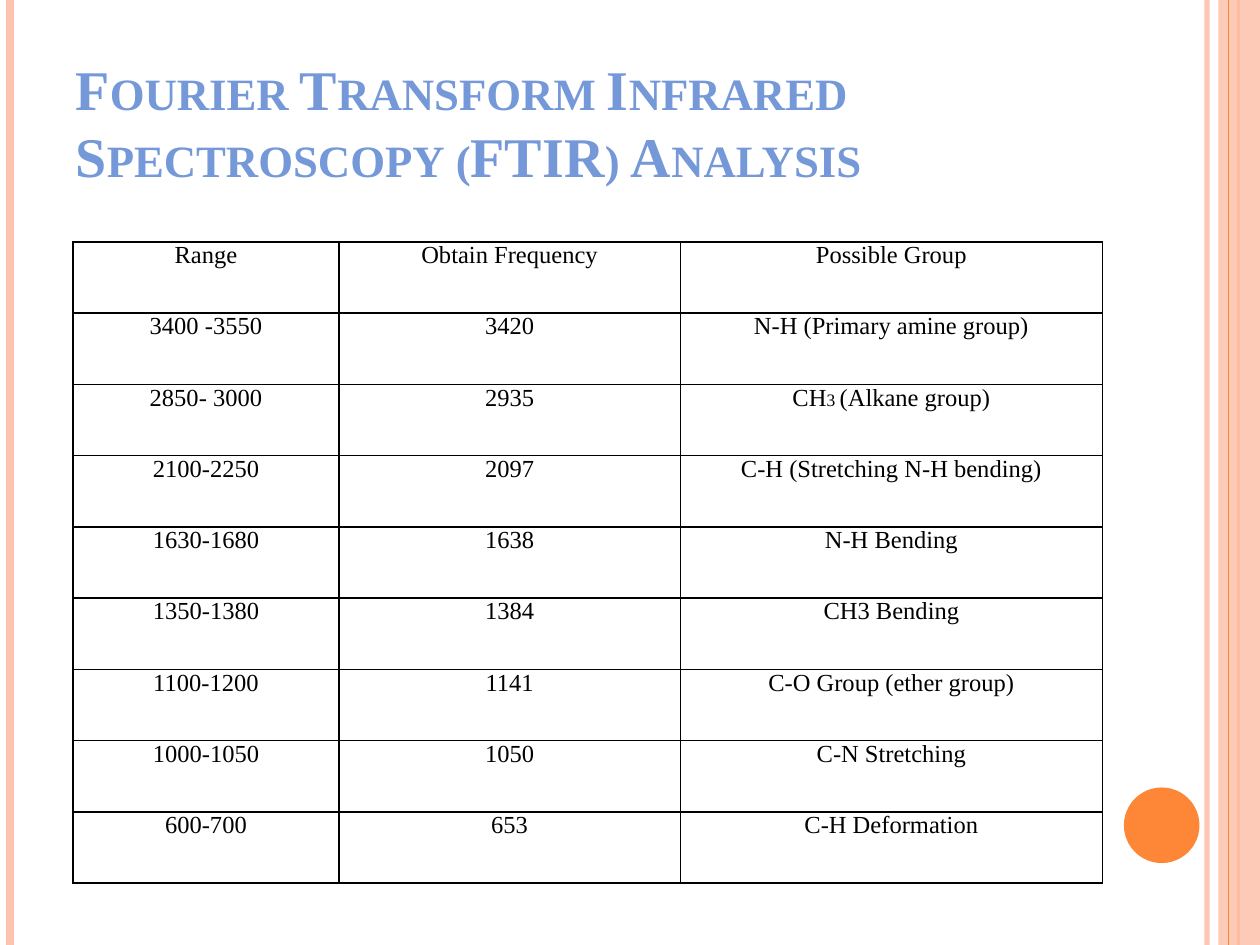
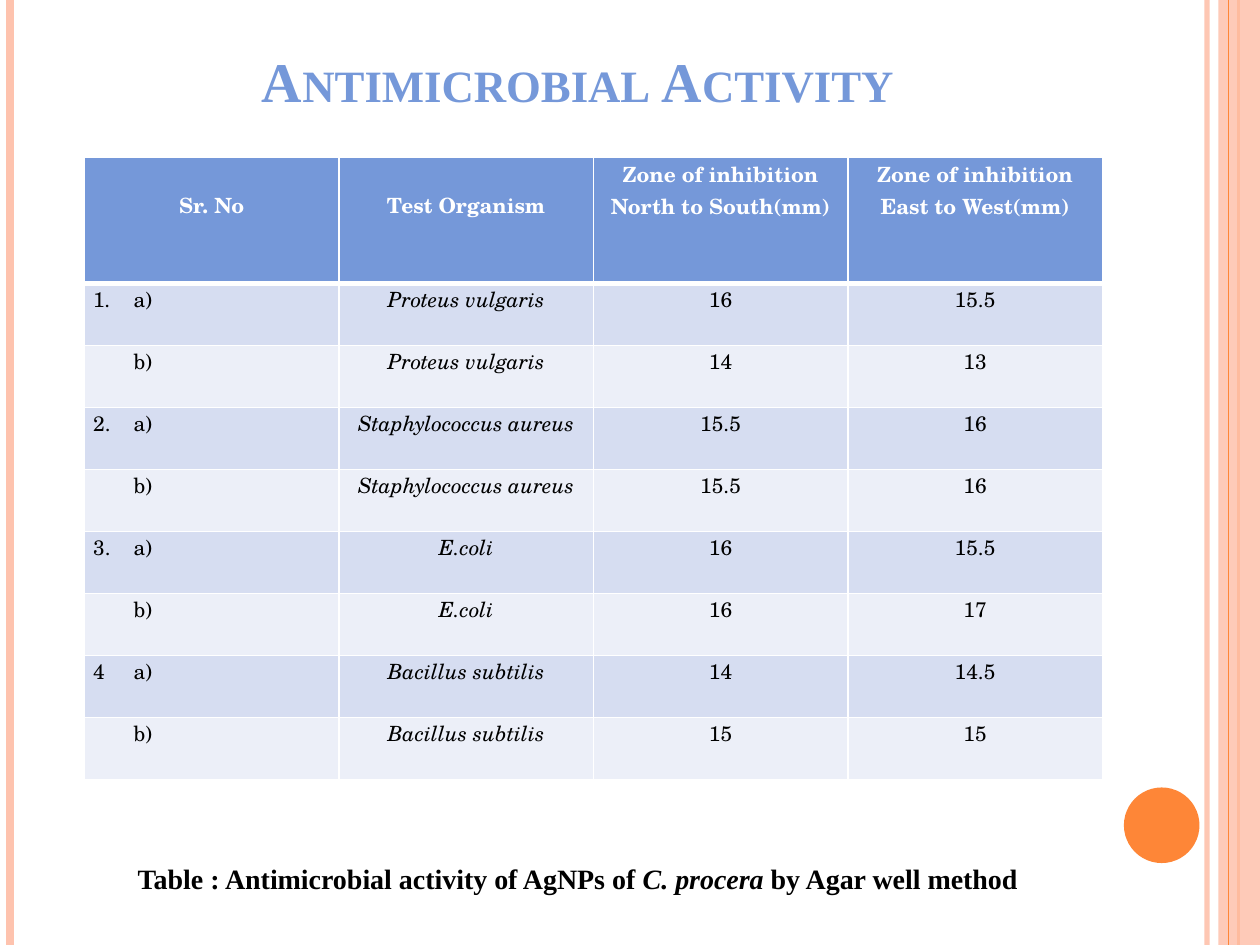
from lxml import etree
from pptx import Presentation
from pptx.dml.color import RGBColor
from pptx.enum.shapes import MSO_CONNECTOR, MSO_SHAPE
from pptx.enum.text import MSO_ANCHOR, MSO_AUTO_SIZE, PP_ALIGN
from pptx.oxml.ns import qn
from pptx.util import Inches, Pt

LEFT, CENTER = PP_ALIGN.LEFT, PP_ALIGN.CENTER
MIDDLE, BOTTOM = MSO_ANCHOR.MIDDLE, MSO_ANCHOR.BOTTOM
RECT, OVAL = MSO_SHAPE.RECTANGLE, MSO_SHAPE.OVAL
STRAIGHT = MSO_CONNECTOR.STRAIGHT
NO_FIT = MSO_AUTO_SIZE.NONE

BLACK, WHITE = "000000", "FFFFFF"
BLUE, PALE, MIST = "7598D9", "D6DDF1", "ECEFF8"
PEACH, ORANGE = "FEC3AE", "FE8637"
SERIF, SCHOOL = "Times New Roman", "TeX Gyre Schola"

RANGES = [
    ["Range", "Obtain Frequency", "Possible Group"],
    ["3400 -3550", "3420", "N-H (Primary amine group)"],
    ["2850- 3000", "2935", [("CH", 14), ("3 ", 10), ("(Alkane group)", 14)]],
    ["2100-2250", "2097", "C-H (Stretching N-H bending)"],
    ["1630-1680", "1638", "N-H Bending"],
    ["1350-1380", "1384", "CH3 Bending"],
    ["1100-1200", "1141", "C-O Group (ether group)"],
    ["1000-1050", "1050", "C-N Stretching"],
    ["600-700", "653", "C-H Deformation"],
]
HEADS = [
    ["Sr. No"],
    ["Test Organism"],
    ["Zone of inhibition", "North to South(mm)"],
    ["Zone of inhibition East to West(mm)"],
]
ZONES = [
    ["1.\ta)", "Proteus vulgaris", "16", "15.5"],
    ["\tb)", "Proteus vulgaris", "14", "13"],
    ["2.\ta)", "Staphylococcus aureus", "15.5", "16"],
    ["\tb)", "Staphylococcus aureus", "15.5", "16"],
    ["3.\ta)", "E.coli", "16", "15.5"],
    ["\tb)", "E.coli", "16", "17"],
    ["4\ta)", "Bacillus subtilis", "14", "14.5"],
    ["\tb)", "Bacillus subtilis", "15", "15"],
]


def rgb(code):
    return RGBColor.from_string(code)


def place(shape, x, y, w, h):
    shape.left, shape.top = Inches(x), Inches(y)
    shape.width, shape.height = Inches(w), Inches(h)


def add_run(para, text, size, face, color=BLACK, bold=False, italic=False):
    run = para.add_run()
    run.text = text
    font = run.font
    font.size, font.name = Pt(size), face
    font.bold, font.italic = bold, italic
    font.color.rgb = rgb(color)
    return run


def fade(fill, percent):
    """Make the colour inside a fill or line element partly opaque."""
    color = next(fill.iter(qn("a:srgbClr")))
    etree.SubElement(color, qn("a:alpha"), val=str(percent * 1000))


def add_stripe(slide, x, color, width, alpha=100):
    line = slide.shapes.add_connector(
        STRAIGHT, Inches(x), 0, Inches(x), Inches(7.5))
    line.line.color.rgb = rgb(color)
    line.line.width = Pt(width)
    props = line._element.spPr
    if alpha < 100:
        fade(props, alpha)
    etree.SubElement(props, qn("a:effectLst"))


def add_block(slide, kind, box, color, alpha=100):
    shape = slide.shapes.add_shape(kind, *map(Inches, box))
    shape.shadow.inherit = False
    shape.fill.solid()
    shape.fill.fore_color.rgb = rgb(color)
    shape.line.fill.background()
    if alpha < 100:
        fade(shape._element.spPr, alpha)


def add_frame(slide):
    """Draw the side stripes and the disc that every slide has."""
    add_stripe(slide, 9.58, PEACH, 3, 93)
    add_stripe(slide, 0.08, PEACH, 4.5)
    add_stripe(slide, 9.83, ORANGE, 1.5)
    add_block(slide, RECT, (9.67, 0, 0.33, 7.5), PEACH, 87)
    add_stripe(slide, 9.75, ORANGE, 0.75)
    add_block(slide, OVAL, (8.92, 6.25, 0.6, 0.6), ORANGE)


def set_title(slide, text, top, height, align):
    title = slide.shapes.title
    place(title, 0.5, top, 8.17, height)
    frame = title.text_frame
    frame.auto_size, frame.vertical_anchor = NO_FIT, BOTTOM
    para = frame.paragraphs[0]
    para.alignment = align
    run = add_run(para, text, 32, SERIF, BLUE, bold=True)
    run.font._element.set("cap", "small")


def new_slide(deck, layout, title, top, height, align):
    slide = deck.slides.add_slide(deck.slide_layouts[layout])
    add_frame(slide)
    set_title(slide, title, top, height, align)
    return slide


def add_grid(slide, rows, cols, box):
    table = slide.shapes.add_table(rows, cols, *map(Inches, box)).table
    table.first_row = table.horz_banding = False
    return table


def set_edges(cell, color, top=1, bottom=1):
    props = cell._tc.get_or_add_tcPr()
    for side, width in (("L", 1), ("R", 1), ("T", top), ("B", bottom)):
        edge = etree.SubElement(props, qn("a:ln" + side), w=str(Pt(width)))
        fill = etree.SubElement(edge, qn("a:solidFill"))
        etree.SubElement(fill, qn("a:srgbClr"), val=color)


def style_cell(cell, fill=None, inset=0):
    cell.margin_left = cell.margin_right = Inches(0.07)
    cell.margin_top, cell.margin_bottom = Inches(inset), 0
    if fill:
        cell.fill.solid()
        cell.fill.fore_color.rgb = rgb(fill)
    else:
        cell.fill.background()


def set_tab(para, x):
    stops = etree.SubElement(para._p.get_or_add_pPr(), qn("a:tabLst"))
    etree.SubElement(stops, qn("a:tab"), pos=str(Inches(x)), algn="l")


def add_ranges(slide):
    table = add_grid(slide, len(RANGES), 3, (0.58, 1.92, 8.17, 5.09))
    for col, width in zip(table.columns, (2.11, 2.71, 3.35)):
        col.width = Inches(width)
    for r, row in enumerate(RANGES):
        for c, entry in enumerate(row):
            cell = table.cell(r, c)
            set_edges(cell, BLACK)
            style_cell(cell)
            para = cell.text_frame.paragraphs[0]
            para.alignment = CENTER
            parts = [(entry, 14)] if isinstance(entry, str) else entry
            for text, size in parts:
                add_run(para, text, size, SERIF)


def add_head(cell, lines, inset):
    set_edges(cell, WHITE, bottom=3)
    style_cell(cell, BLUE, inset)
    frame = cell.text_frame
    for i, text in enumerate(lines):
        para = frame.add_paragraph() if i else frame.paragraphs[0]
        para.alignment = CENTER
        add_run(para, text, 12, SCHOOL, WHITE, bold=True)


def add_zones(slide):
    high, head = 4.94, 1
    count = len(ZONES)
    table = add_grid(slide, count + 1, 4, (0.67, 1.25, 8.08, high))
    for r, row in enumerate(table.rows):
        row.height = Inches((high - head) / count if r else head)
    for c, lines in enumerate(HEADS):
        add_head(table.cell(0, c), lines, 0.25 if c < 2 else 0)
    for r, row in enumerate(ZONES, 1):
        for c, text in enumerate(row):
            cell = table.cell(r, c)
            set_edges(cell, WHITE, top=3 if r == 1 else 1)
            style_cell(cell, PALE if r % 2 else MIST)
            para = cell.text_frame.paragraphs[0]
            para.alignment = CENTER if c else LEFT
            if c == 0:
                set_tab(para, 0.32)
            add_run(para, text, 12, SCHOOL, italic=c == 1)


def add_note(slide):
    note = slide.placeholders[1]
    place(note, 0.5, 6.72, 8.17, 0.5)
    frame = note.text_frame
    frame.auto_size, frame.vertical_anchor = NO_FIT, MIDDLE
    para = frame.paragraphs[0]
    para.alignment = CENTER
    para.space_before = Pt(0)
    props = para._p.get_or_add_pPr()
    props.set("marL", "0")
    props.set("indent", "0")
    etree.SubElement(props, qn("a:buNone"))
    for text, italic in (
        ("Table : Antimicrobial activity of AgNPs of ", False),
        ("C. procera", True),
        (" by Agar well method", False),
    ):
        add_run(para, text, 16, SERIF, bold=True, italic=italic)


def main():
    deck = Presentation()
    deck.slide_width, deck.slide_height = Inches(10), Inches(7.5)
    slide = new_slide(
        deck, 5, "Fourier Transform Infrared Spectroscopy (FTIR) Analysis",
        0.3, 1.25, LEFT)
    add_ranges(slide)
    slide = new_slide(deck, 1, "Antimicrobial Activity", 0.17, 0.78, CENTER)
    add_zones(slide)
    add_note(slide)
    deck.save("out.pptx")


if __name__ == "__main__":
    main()
